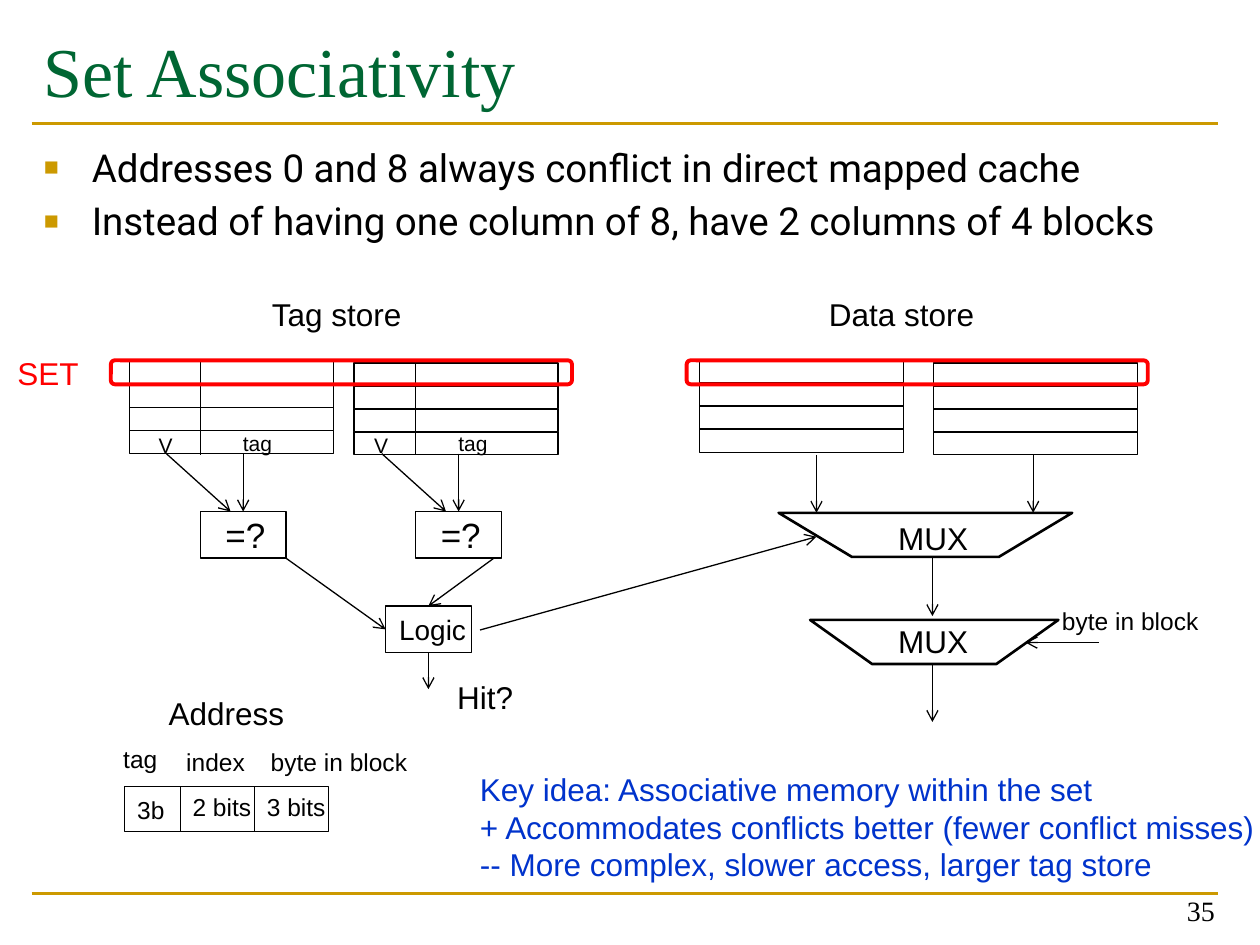
import pptx
import pptx.util
import pptx.dml.color
import pptx.enum.shapes
import pptx.enum.text
import pptx.oxml.ns
import lxml.etree

Inches = pptx.util.Inches
Pt = pptx.util.Pt
Kind = pptx.enum.shapes.MSO_SHAPE
Anchor = pptx.enum.text.MSO_ANCHOR
Align = pptx.enum.text.PP_ALIGN
Fit = pptx.enum.text.MSO_AUTO_SIZE
qn = pptx.oxml.ns.qn

COLORS = {
    "black": "000000",
    "gold": "CC9900",
    "green": "006633",
    "blue": "0033CC",
    "red": "FF0000",
}


def color(name):
    return pptx.dml.color.RGBColor.from_string(COLORS[name])


def add(node, tag, **attrs):
    return lxml.etree.SubElement(node, qn(tag), attrs)


def stroke(shape, name, width):
    shape.line.color.rgb = color(name)
    shape.line.width = Pt(width)


def write(para, text, size, font, name):
    run = para.add_run()
    run.text = text
    run.font.size = Pt(size)
    run.font.name = font
    run.font.color.rgb = color(name)


def text(slide, at, lines, size, font="Arial", name="black", wrap=False):
    shape = slide.shapes.add_textbox(*map(Inches, at))
    frame = shape.text_frame
    frame.word_wrap = wrap
    frame.auto_size = Fit.NONE if wrap else Fit.SHAPE_TO_FIT_TEXT
    for i, line in enumerate(lines):
        para = frame.add_paragraph() if i else frame.paragraphs[0]
        write(para, line, size, font, name)
    return frame


def bullet(para, size):
    para.space_before = Pt(0.2 * size)
    props = para._p.get_or_add_pPr()
    props.set("marL", str(Inches(0.38)))
    props.set("indent", str(Inches(-0.38)))
    add(add(props, "a:buClr"), "a:srgbClr", val=COLORS["gold"])
    add(props, "a:buSzPct", val="65000")
    add(props, "a:buFont", typeface="Arial")
    add(props, "a:buChar", char="■")


def box(slide, at, kind=Kind.RECTANGLE, name="black", width=0.75):
    shape = slide.shapes.add_shape(kind, *map(Inches, at))
    shape.shadow.inherit = False
    shape.fill.background()
    stroke(shape, name, width)
    return shape


def line(slide, start, end, name="black", width=0.75):
    link = slide.shapes.add_connector(
        pptx.enum.shapes.MSO_CONNECTOR.STRAIGHT, *map(Inches, start + end))
    stroke(link, name, width)
    add(link._element.spPr, "a:effectLst")
    return link


def arrow(slide, start, end):
    link = line(slide, start, end)
    add(link.line._get_or_add_ln(), "a:tailEnd", type="arrow")
    return link


def mux(slide, left, top, width):
    right, low, cut = left + width, top + 0.35, width / 4
    points = [(right, top), (right - cut, low), (left + cut, low), (left, top)]
    points = [(Inches(x), Inches(y)) for x, y in points]
    form = slide.shapes.build_freeform(*points[0])
    form.add_line_segments(points[1:], close=True)
    shape = form.convert_to_shape()
    shape.shadow.inherit = False
    shape.fill.background()
    stroke(shape, "black", 1.5)


def store(slide, left, top):
    for row in range(4):
        box(slide, (left, top + row * 0.183, 1.62, 0.18))


def match(slide, left):
    text(slide, (left - 0.43, 3.38, 0.31, 0.3), ["V"], 12)
    text(slide, (left + 0.24, 3.37, 0.44, 0.3), ["tag"], 12)
    test = box(slide, (left, 4.06, 0.68, 0.37))
    text(slide, (left + 0.1, 4.03, 0.52, 0.44), ["=?"], 20)
    drop = arrow(slide, (left + 0.34, 3.6), (left + 0.34, 4.06))
    drop.end_connect(test, 0)
    arrow(slide, (left - 0.27, 3.6), (left + 0.24, 4.06))
    line(slide, (left, 2.87), (left, 3.61))


def frame(slide):
    for y in (7.09, 0.98):
        line(slide, (0.25, y), (9.67, y), "gold", 1.5)
    text(slide, (0.25, 0.17, 9.42, 1.17), ["Set Associativity"], 40,
         "Times New Roman", "green", True)
    body = text(slide, (0.25, 1.09, 9.42, 1.1), [
        "Addresses 0 and 8 always conflict in direct mapped cache",
        "Instead of having one column of 8, have 2 columns of 4 blocks",
    ], 22, "Roboto", wrap=True)
    for para in body.paragraphs:
        bullet(para, 22)
    page = text(slide, (7.41, 6.91, 2.33, 0.5), ["35"], 16,
                "Times New Roman", wrap=True)
    page.vertical_anchor = Anchor.BOTTOM
    page.paragraphs[0].alignment = Align.RIGHT


def stores(slide):
    for left, top in ((1.03, 2.87), (2.81, 2.88), (5.55, 2.86), (7.41, 2.88)):
        store(slide, left, top)
    text(slide, (2.06, 2.29, 1.24, 0.4), ["Tag store"], 18)
    text(slide, (6.48, 2.29, 1.36, 0.4), ["Data store"], 18)
    for left in (1.59, 3.3):
        match(slide, left)
    for left in (0.88, 5.45):
        box(slide, (left, 2.86, 3.66, 0.19), Kind.ROUNDED_RECTANGLE,
            "red", 2.25)
    text(slide, (0.04, 2.76, 0.69, 0.4), ["SET"], 18, name="red")


def logic(slide):
    gate = box(slide, (3.06, 4.81, 0.68, 0.37))
    text(slide, (3.07, 4.81, 0.74, 0.37), ["Logic"], 16, wrap=True)
    arrow(slide, (2.27, 4.43), (3.06, 5)).end_connect(gate, 1)
    arrow(slide, (3.92, 4.43), (3.4, 4.81)).end_connect(gate, 0)
    arrow(slide, (3.4, 5.18), (3.4, 5.47)).begin_connect(gate, 2)
    arrow(slide, (3.81, 5), (6.48, 4.26))
    text(slide, (3.53, 5.33, 0.65, 0.4), ["Hit?"], 18)


def select(slide):
    for x in (6.48, 8.2):
        arrow(slide, (x, 3.61), (x, 4.07))
    mux(slide, 6.18, 4.07, 2.33)
    mux(slide, 6.43, 4.92, 1.97)
    for y in (4.07, 4.89):
        text(slide, (7.03, y, 0.76, 0.4), ["MUX"], 18)
    for y in (4.43, 5.27):
        arrow(slide, (7.4, y), (7.4, y + 0.46))
    arrow(slide, (8.72, 5.1), (8.14, 5.1))
    text(slide, (8.33, 4.76, 1.29, 0.34), ["byte in block"], 14)


def address(slide):
    text(slide, (1.24, 5.46, 1.13, 0.4), ["Address"], 18)
    box(slide, (0.99, 6.24, 1.62, 0.36))
    for x in (1.43, 2.02):
        line(slide, (x, 6.24), (x, 6.6))
    for left, top, width, label in (
        (0.88, 5.86, 0.47, "tag"),
        (1.38, 5.88, 0.67, "index"),
        (2.05, 5.88, 1.29, "byte in block"),
        (0.99, 6.26, 0.42, "3b"),
        (1.43, 6.24, 0.67, "2 bits"),
        (2.02, 6.24, 0.67, "3 bits"),
    ):
        text(slide, (left, top, width, 0.34), [label], 14)


def main():
    deck = pptx.Presentation()
    deck.slide_width = Inches(10)
    deck.slide_height = Inches(7.5)
    slide = deck.slides.add_slide(deck.slide_layouts[6])
    frame(slide)
    stores(slide)
    logic(slide)
    select(slide)
    address(slide)
    text(slide, (3.71, 6.06, 6.41, 1.31), [
        "Key idea: Associative memory within the set",
        "+ Accommodates conflicts better (fewer conflict misses)",
        "-- More complex, slower access, larger tag store",
    ], 18, name="blue")
    deck.save("out.pptx")


if __name__ == "__main__":
    main()
